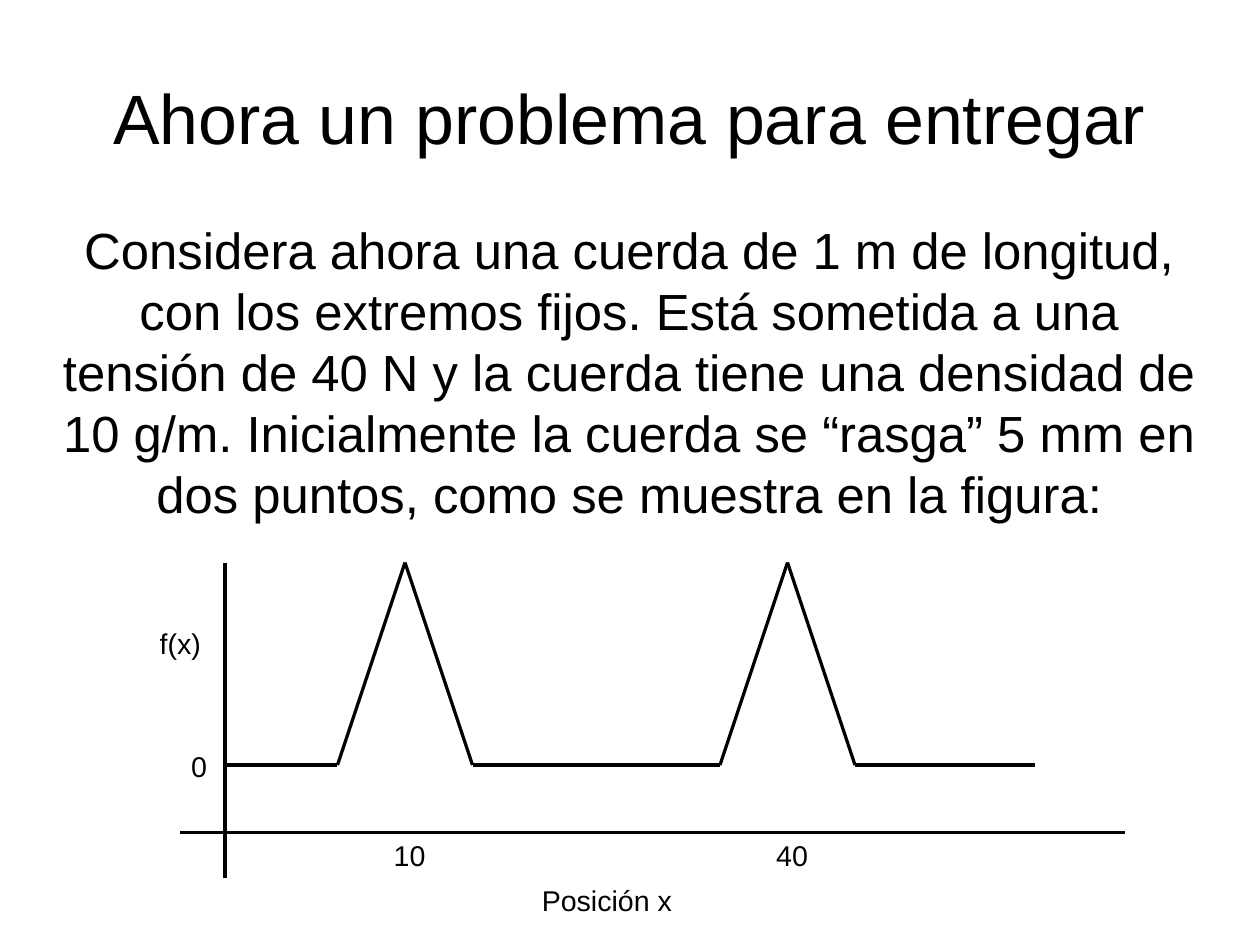
from itertools import pairwise

from lxml import etree
from pptx import Presentation
from pptx.dml.color import RGBColor
from pptx.enum.shapes import MSO_CONNECTOR
from pptx.enum.text import MSO_ANCHOR, MSO_AUTO_SIZE, PP_ALIGN
from pptx.oxml.ns import qn
from pptx.util import Cm, Pt

STRAIGHT = MSO_CONNECTOR.STRAIGHT
LEFT, CENTER = PP_ALIGN.LEFT, PP_ALIGN.CENTER
TOP, MIDDLE = MSO_ANCHOR.TOP, MSO_ANCHOR.MIDDLE
FIT_SHAPE, FIT_NONE = MSO_AUTO_SIZE.SHAPE_TO_FIT_TEXT, MSO_AUTO_SIZE.NONE
COLORS = {"ink": "000000", "paper": "FFFFFF"}
FONT = "Arial"

TITLE = "Ahora un problema para entregar"
STATEMENT = (
    "Considera ahora una cuerda de 1 m de longitud, con los extremos fijos. "
    "Está sometida a una tensión de 40 N y la cuerda tiene una densidad de "
    "10 g/m. Inicialmente la cuerda se “rasga” 5 mm en dos puntos, como se "
    "muestra en la figura:"
)


def add_text(slide, box, text, size, align=LEFT, anchor=TOP, wrap=False,
             margins=(0.25, 0.13), fit=FIT_SHAPE):
    """Place one line or paragraph of text in a box given in centimetres."""
    frame = slide.shapes.add_textbox(*map(Cm, box)).text_frame
    frame.word_wrap = wrap
    frame.auto_size = fit
    frame.vertical_anchor = anchor
    frame.margin_left = frame.margin_right = Cm(margins[0])
    frame.margin_top = frame.margin_bottom = Cm(margins[1])
    paragraph = frame.paragraphs[0]
    paragraph.alignment = align
    run = paragraph.add_run()
    run.text = text
    run.font.size = Pt(size)
    run.font.name = FONT
    run.font.color.rgb = RGBColor.from_string(COLORS["ink"])


def add_line(slide, start, end):
    """Draw a hairline between two points given in centimetres."""
    line = slide.shapes.add_connector(STRAIGHT, *map(Cm, (*start, *end)))
    line.line.color.rgb = RGBColor.from_string(COLORS["ink"])
    line.line.width = Pt(0)
    etree.SubElement(line._element.spPr, qn("a:effectLst"))


def add_centered_text(slide, box, text, size):
    """Fill a box with centred, wrapped text without margins."""
    add_text(slide, box, text, size, CENTER, MIDDLE, True, (0, 0), FIT_NONE)


def add_string_graph(slide, box):
    """Draw the axes, the plucked string and the labels of the graph."""
    left, top, width, height = box
    axis_x, axis_y = left + 1, top + height - 1
    rest_y = top + 4.5
    half_base = 1.5
    peaks = {"10": axis_x + 4, "40": axis_x + 12.5}

    add_line(slide, (axis_x, top), (axis_x, top + height))
    add_line(slide, (left, axis_y), (left + width, axis_y))

    string = [(axis_x, rest_y)]
    for peak_x in peaks.values():
        string += [(peak_x - half_base, rest_y), (peak_x, top),
                   (peak_x + half_base, rest_y)]
    string.append((axis_x + 18, rest_y))
    for start, end in pairwise(string):
        add_line(slide, start, end)

    add_text(slide, (left, rest_y - 0.49, 0.86, 0.97), "0", 18)
    add_text(slide, (left - 0.7, top + 1.29, 1.42, 1.27), "f(x)", 18)
    for position, peak_x in peaks.items():
        add_text(slide, (peak_x - 0.5, axis_y, 1.22, 1.27), position, 18)
    add_text(slide, (left + 7.79, top + height, 5.21, 1.27), "Posición x", 18,
             wrap=True)


def main():
    """Build the slide and save it."""
    deck = Presentation()
    deck.slide_width, deck.slide_height = Cm(28), Cm(21)
    slide = deck.slides.add_slide(deck.slide_layouts[6])
    slide.background.fill.solid()
    slide.background.fill.fore_color.rgb = RGBColor.from_string(COLORS["paper"])
    add_centered_text(slide, (1.4, 0.84, 25.2, 3.5), TITLE, 44)
    add_centered_text(slide, (1.4, 5.03, 25.2, 6.45), STATEMENT, 32)
    add_string_graph(slide, (4, 12.5, 21, 7))
    deck.save("out.pptx")


if __name__ == "__main__":
    main()
